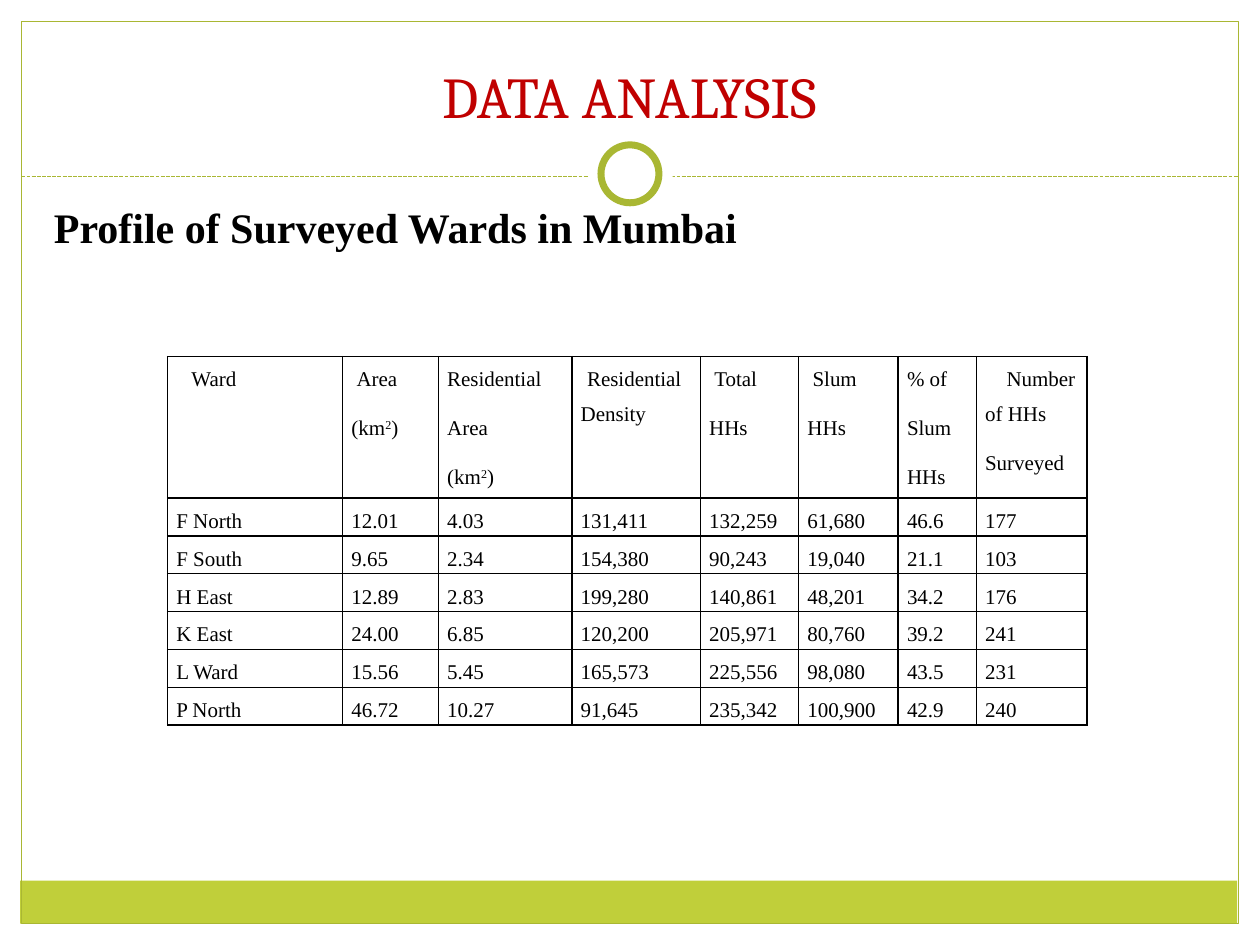
import pptx
import pptx.util
from lxml import etree
from pptx.dml.color import RGBColor
from pptx.enum.dml import MSO_LINE
from pptx.enum.shapes import MSO_CONNECTOR, MSO_SHAPE
from pptx.enum.text import MSO_ANCHOR, MSO_AUTO_SIZE, PP_ALIGN
from pptx.oxml.ns import qn
from pptx.util import Inches, Pt

TITLE = "DATA ANALYSIS"
SUBTITLE = "Profile of Surveyed Wards in Mumbai"
# Each column: width, first-line indent of the heading, heading paragraphs ("^" raises what follows it)
COLUMNS = [
    (1.39, 0.12, ["Ward"]),
    (0.76, 0.04, ["Area", "(km^2)"]),
    (1.06, 0, ["Residential", "Area", "(km^2)"]),
    (1.02, 0.05, ["Residential Density"]),
    (0.78, 0.04, ["Total", "HHs"]),
    (0.79, 0.04, ["Slum", "HHs"]),
    (0.62, 0, ["% of", "Slum", "HHs"]),
    (0.88, 0.17, ["Number of HHs", "Surveyed"]),
]
WARDS = [
    ("F North", "12.01", "4.03", "131,411", "132,259", "61,680", "46.6", "177"),
    ("F South", "9.65", "2.34", "154,380", "90,243", "19,040", "21.1", "103"),
    ("H East", "12.89", "2.83", "199,280", "140,861", "48,201", "34.2", "176"),
    ("K East", "24.00", "6.85", "120,200", "205,971", "80,760", "39.2", "241"),
    ("L Ward", "15.56", "5.45", "165,573", "225,556", "98,080", "43.5", "231"),
    ("P North", "46.72", "10.27", "91,645", "235,342", "100,900", "42.9", "240"),
]
HEADING_HEIGHT, WARD_HEIGHT = 1.12, 0.3

BLACK = RGBColor(0x00, 0x00, 0x00)
WHITE = RGBColor(0xFF, 0xFF, 0xFF)
RED = RGBColor(0xC0, 0x00, 0x00)
LIME = RGBColor(0xC0, 0xCF, 0x3A)
OLIVE = RGBColor(0xA9, 0xB7, 0x33)


def set_font(paragraph, name, size, color, bold=False):
    font = paragraph.font
    font.name, font.size, font.bold = name, Pt(size), bold
    font.color.rgb = color


def add_figure(slide, preset, box, fill=None, line_width=None):
    figure = slide.shapes.add_shape(preset, *map(Inches, box))
    figure.shadow.inherit = False
    if fill is None:
        figure.fill.background()
    else:
        figure.fill.solid()
        figure.fill.fore_color.rgb = fill
    if line_width is None:
        figure.line.fill.background()
    else:
        figure.line.color.rgb = OLIVE
        figure.line.width = Pt(line_width)


def add_divider(slide):
    divider = slide.shapes.add_connector(
        MSO_CONNECTOR.STRAIGHT, Inches(0.17), Inches(1.4), Inches(9.83), Inches(1.4))
    divider.line.color.rgb = OLIVE
    divider.line.width = Pt(0.75)
    divider.line.dash_style = MSO_LINE.SQUARE_DOT
    etree.SubElement(divider._element.spPr, qn("a:effectLst"))


def add_borders(cell):
    properties = cell._tc.get_or_add_tcPr()
    for position, side in enumerate(("a:lnL", "a:lnR", "a:lnT", "a:lnB")):
        border = etree.Element(qn(side), w=str(Pt(1)))
        fill = etree.SubElement(border, qn("a:solidFill"))
        etree.SubElement(fill, qn("a:srgbClr"), val=str(BLACK))
        properties.insert(position, border)


def fill_cell(cell, lines, indent=0):
    cell.margin_left = cell.margin_right = Inches(0.07)
    cell.margin_top = cell.margin_bottom = 0
    cell.fill.background()
    add_borders(cell)
    for number, line in enumerate(lines):
        frame = cell.text_frame
        paragraph = frame.add_paragraph() if number else frame.paragraphs[0]
        paragraph.alignment = PP_ALIGN.LEFT
        paragraph.line_spacing = 1.5
        paragraph.space_after = Pt(8)
        set_font(paragraph, "Times New Roman", 12, BLACK)
        if indent and number == 0:
            paragraph._p.get_or_add_pPr().set("indent", str(Inches(indent)))
        base, _, raised = line.partition("^")
        paragraph.add_run().text = base
        if raised:
            exponent = paragraph.add_run()
            exponent.text = raised[0]
            exponent.font._element.set("baseline", "30000")
            paragraph.add_run().text = raised[1:]


def add_ward_table(slide):
    width = sum(column[0] for column in COLUMNS)
    height = HEADING_HEIGHT + WARD_HEIGHT * len(WARDS)
    table = slide.shapes.add_table(
        len(WARDS) + 1, len(COLUMNS),
        Inches(1.33), Inches(2.83), Inches(width), Inches(height)).table
    table.first_row = table.horz_banding = False
    for index, row in enumerate(table.rows):
        row.height = Inches(WARD_HEIGHT if index else HEADING_HEIGHT)
    for index, (column_width, indent, heading) in enumerate(COLUMNS):
        table.columns[index].width = Inches(column_width)
        fill_cell(table.cell(0, index), heading, indent)
        for row, ward in enumerate(WARDS, start=1):
            fill_cell(table.cell(row, index), [ward[index]])


def main():
    deck = pptx.Presentation()
    deck.slide_width, deck.slide_height = Inches(10), Inches(7.5)
    slide = deck.slides.add_slide(deck.slide_layouts[5])

    add_figure(slide, MSO_SHAPE.RECTANGLE, (0.16, 6.99, 9.66, 0.34), fill=LIME)
    add_figure(slide, MSO_SHAPE.RECTANGLE, (0.17, 0.17, 9.66, 7.16), line_width=0.75)
    add_divider(slide)
    add_figure(slide, MSO_SHAPE.OVAL, (4.67, 1.05, 0.67, 0.67), fill=WHITE)
    add_figure(slide, MSO_SHAPE.OVAL, (4.77, 1.15, 0.46, 0.46), fill=WHITE, line_width=4)

    title = slide.shapes.title
    title.left, title.top, title.width, title.height = map(Inches, (0.33, 0.25, 9.33, 0.83))
    title.text_frame.text = TITLE
    title.text_frame.auto_size = MSO_AUTO_SIZE.NONE
    title.text_frame.vertical_anchor = MSO_ANCHOR.BOTTOM
    title.text_frame.paragraphs[0].alignment = PP_ALIGN.CENTER
    set_font(title.text_frame.paragraphs[0], "Cambria", 33, RED)

    subtitle = slide.shapes.add_textbox(*map(Inches, (0.33, 1.55, 9.33, 0.5))).text_frame
    subtitle.word_wrap = True
    subtitle.auto_size = MSO_AUTO_SIZE.SHAPE_TO_FIT_TEXT
    subtitle.text = SUBTITLE
    set_font(subtitle.paragraphs[0], "Times New Roman", 24, BLACK, bold=True)

    add_ward_table(slide)
    deck.save("out.pptx")


if __name__ == "__main__":
    main()
